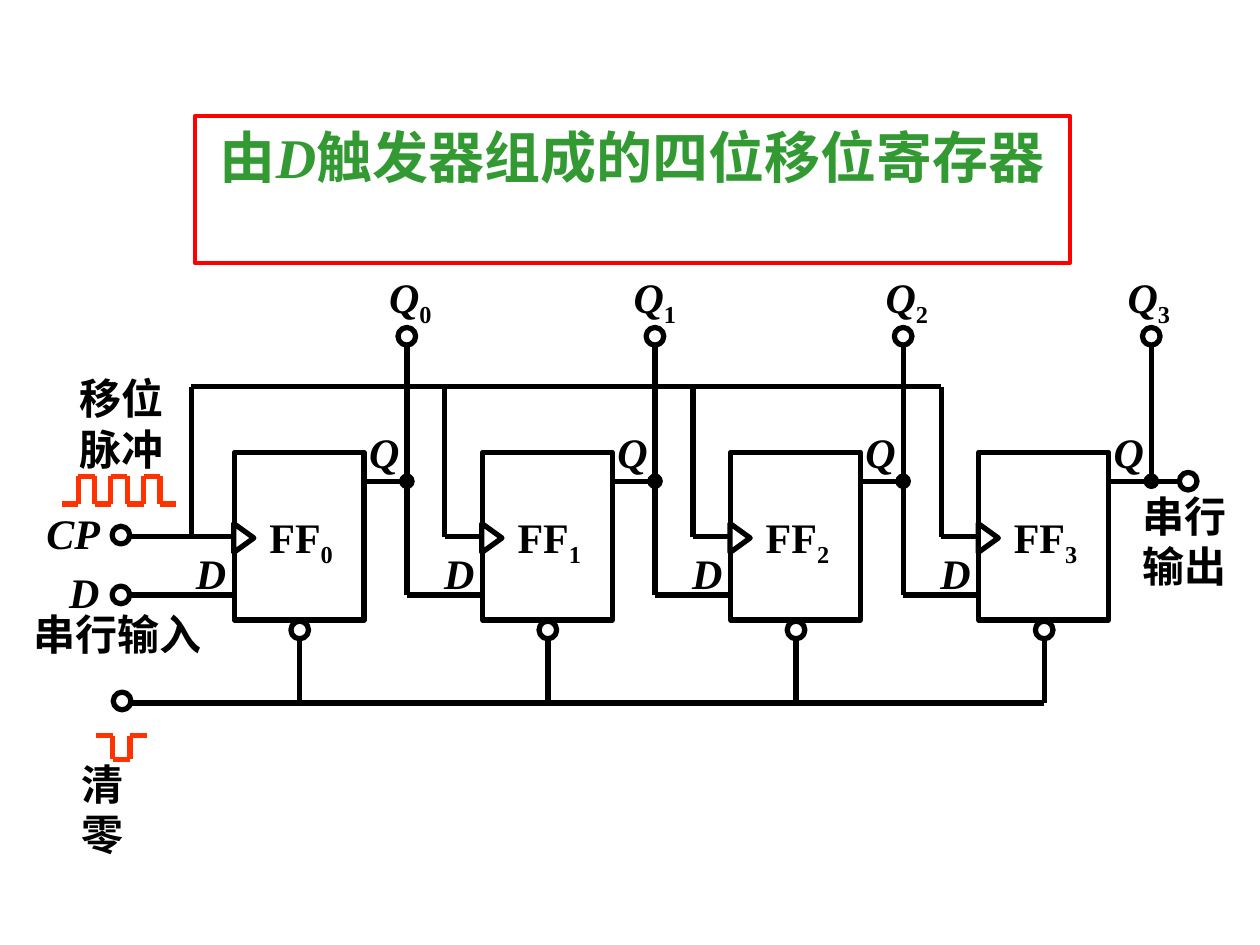
from dataclasses import dataclass

from lxml import etree
from pptx import Presentation
from pptx.dml.color import RGBColor
from pptx.enum.shapes import MSO_CONNECTOR, MSO_SHAPE
from pptx.enum.text import MSO_ANCHOR, MSO_AUTO_SIZE, PP_ALIGN
from pptx.oxml.ns import qn
from pptx.util import Pt

STRAIGHT = MSO_CONNECTOR.STRAIGHT
RECTANGLE = MSO_SHAPE.RECTANGLE
ELLIPSE = MSO_SHAPE.OVAL
TRIANGLE = MSO_SHAPE.ISOSCELES_TRIANGLE
TITLE_ONLY = 5


@dataclass(frozen=True)
class Theme:
    font: str = "Times New Roman"
    title_size: int = 32
    label_size: int = 24
    ink: RGBColor = RGBColor(0, 0, 0)
    paper: RGBColor = RGBColor(255, 255, 255)
    title: RGBColor = RGBColor(0x33, 0x99, 0x33)
    frame: RGBColor = RGBColor(255, 0, 0)
    pulse: RGBColor = RGBColor(0xFF, 0x33, 0x00)
    frame_width: float = 2.5
    wire_width: float = 3


THEME = Theme()

STAGES = 4
FIRST_LEFT = 133.9
PITCH = 141.8
BOX_TOP, BOX_WIDTH, BOX_HEIGHT = 258.5, 74.2, 95.8
Q_OFFSET = 98.6
BUS_Y, Q_Y, CLOCK_Y, DATA_Y, CLEAR_Y = 221, 275, 306.7, 340, 401.8
OUTPUT_Y = 192.2
INPUT_X = 69.1
SERIAL_OUT_X = 679
RING = 10.1
OUTPUT_LABEL_LEFTS = (215.3, 355, 499, 637.2)


def stage_left(index):
    return FIRST_LEFT + index * PITCH


def stage_output(index):
    return stage_left(index) + Q_OFFSET


def clock_tap(index):
    return stage_left(index) - (21.5 if index else 24.5)


def write(frame, runs, size, color):
    frame.margin_left = frame.margin_right = Pt(7.2)
    frame.margin_top = frame.margin_bottom = Pt(3.6)
    frame.vertical_anchor = MSO_ANCHOR.TOP
    paragraph = frame.paragraphs[0]
    font = paragraph.font
    font.name, font.size, font.bold = THEME.font, Pt(size), True
    font.color.rgb = color
    for text, style in runs:
        run = paragraph.add_run()
        run.text = text
        if style == "italic":
            run.font.italic = True
        elif style == "subscript":
            run._r.get_or_add_rPr().set("baseline", "-25000")
    return paragraph


def add_title(slide, runs):
    title = slide.shapes.title
    title.left, title.top, title.width, title.height = Pt(111.6), Pt(66.2), Pt(499.7), Pt(84.2)
    title.line.color.rgb = THEME.frame
    title.line.width = Pt(THEME.frame_width)
    title.text_frame.word_wrap = True
    title.text_frame.auto_size = MSO_AUTO_SIZE.NONE
    write(title.text_frame, runs, THEME.title_size, THEME.title).alignment = PP_ALIGN.CENTER


def add_label(slide, left, top, width, height, *runs, wrap=True):
    box = slide.shapes.add_textbox(Pt(left), Pt(top), Pt(width), Pt(height))
    box.text_frame.word_wrap = wrap
    write(box.text_frame, runs, THEME.label_size, THEME.ink)


def add_outline(slide, kind, left, top, width, height):
    shape = slide.shapes.add_shape(kind, Pt(left), Pt(top), Pt(width), Pt(height))
    shape.shadow.inherit = False
    shape.fill.solid()
    shape.fill.fore_color.rgb = THEME.paper
    shape.line.color.rgb = THEME.ink
    shape.line.width = Pt(THEME.wire_width)
    return shape


def add_ring(slide, x, y):
    add_outline(slide, ELLIPSE, x - RING / 2, y - RING / 2, RING, RING)


def add_wire(slide, *points, color=THEME.ink, dot=False):
    for (x1, y1), (x2, y2) in zip(points, points[1:]):
        wire = slide.shapes.add_connector(STRAIGHT, Pt(x1), Pt(y1), Pt(x2), Pt(y2))
        wire.line.color.rgb = color
        wire.line.width = Pt(THEME.wire_width)
        if dot:
            etree.SubElement(wire.line._get_or_add_ln(), qn("a:tailEnd"), type="oval")
        etree.SubElement(wire._element.spPr, qn("a:effectLst"))


def add_pulses(slide, left, step, levels):
    points = []
    for index, level in enumerate(levels):
        x = left + index * step
        points += [(x, level), (x + step, level)]
    add_wire(slide, *points, color=THEME.pulse)


def add_stage_wires(slide, index):
    left, output = stage_left(index), stage_output(index)
    clear_x = left + 37.4
    last = index == STAGES - 1
    add_wire(slide, (left + BOX_WIDTH, Q_Y), (output, Q_Y), dot=True)
    if last:
        add_wire(slide, (output, OUTPUT_Y), (output, Q_Y))
        add_wire(slide, (output, Q_Y), (SERIAL_OUT_X, Q_Y))
    else:
        add_wire(slide, (output, OUTPUT_Y), (output, DATA_Y), (stage_left(index + 1), DATA_Y))
    add_wire(slide, (clock_tap(index), BUS_Y), (clock_tap(index), CLOCK_Y), (left, CLOCK_Y))
    add_wire(slide, (clear_x, 360), (clear_x, CLEAR_Y))


def add_stage(slide, index):
    left = stage_left(index)
    number = (str(index), "subscript")
    add_outline(slide, RECTANGLE, left, BOX_TOP, BOX_WIDTH, BOX_HEIGHT)
    add_outline(slide, TRIANGLE, left - 2.9, 301.7, 16.6, 11.5).rotation = 90
    add_ring(slide, left + 37.4, 360)
    add_ring(slide, stage_output(index), OUTPUT_Y)
    add_label(slide, left + 13, 288.7, 67.7, 40.3, ("FF", "plain"), number)
    add_label(slide, left - 29, 309.2, 45.4, 36, ("D", "italic"))
    add_label(slide, left + 70, 240, 38.9, 36, ("Q", "italic"))
    add_label(slide, OUTPUT_LABEL_LEFTS[index], 151.4, 51.8, 40.3, ("Q", "italic"), number)


def add_terminals(slide):
    for y in (CLOCK_Y - 0.9, DATA_Y):
        add_ring(slide, INPUT_X, y)
    add_ring(slide, INPUT_X + 0.7, CLEAR_Y - 1.2)
    add_ring(slide, SERIAL_OUT_X, Q_Y)
    add_label(slide, 19.4, 286.6, 51.8, 36, ("CP", "italic"))
    add_label(slide, 32.4, 320.4, 37.4, 36, ("D", "italic"))
    add_label(slide, 38.2, 209.5, 76.3, 64.8, ("移位脉冲", "plain"))
    add_label(slide, 12.2, 344.2, 122.4, 36, ("串行输入", "plain"))
    add_label(slide, 39.6, 429.8, 61.9, 36, ("清零", "plain"), wrap=False)
    add_label(slide, 645.8, 276.5, 71.3, 64.8, ("串行输出", "plain"))


def main():
    presentation = Presentation()
    presentation.slide_width, presentation.slide_height = Pt(720), Pt(540)
    slide = presentation.slides.add_slide(presentation.slide_layouts[TITLE_ONLY])
    add_title(slide, [("由", "plain"), ("D", "italic"), ("触发器组成的四位移位寄存器", "plain")])

    add_wire(slide, (clock_tap(0), BUS_Y), (clock_tap(STAGES - 1), BUS_Y))
    for y in (CLOCK_Y, DATA_Y):
        add_wire(slide, (INPUT_X, y), (FIRST_LEFT, y))
    add_wire(slide, (INPUT_X, CLEAR_Y), (stage_left(STAGES - 1) + 37.4, CLEAR_Y))
    for index in range(STAGES):
        add_stage_wires(slide, index)
    for index in range(STAGES):
        add_stage(slide, index)

    add_terminals(slide)
    add_pulses(slide, 35.3, 9.36, [288, 272.2] * 3 + [288])
    add_pulses(slide, 54.7, 9.8, [420.3, 434, 420.3])
    presentation.save("out.pptx")


if __name__ == "__main__":
    main()
